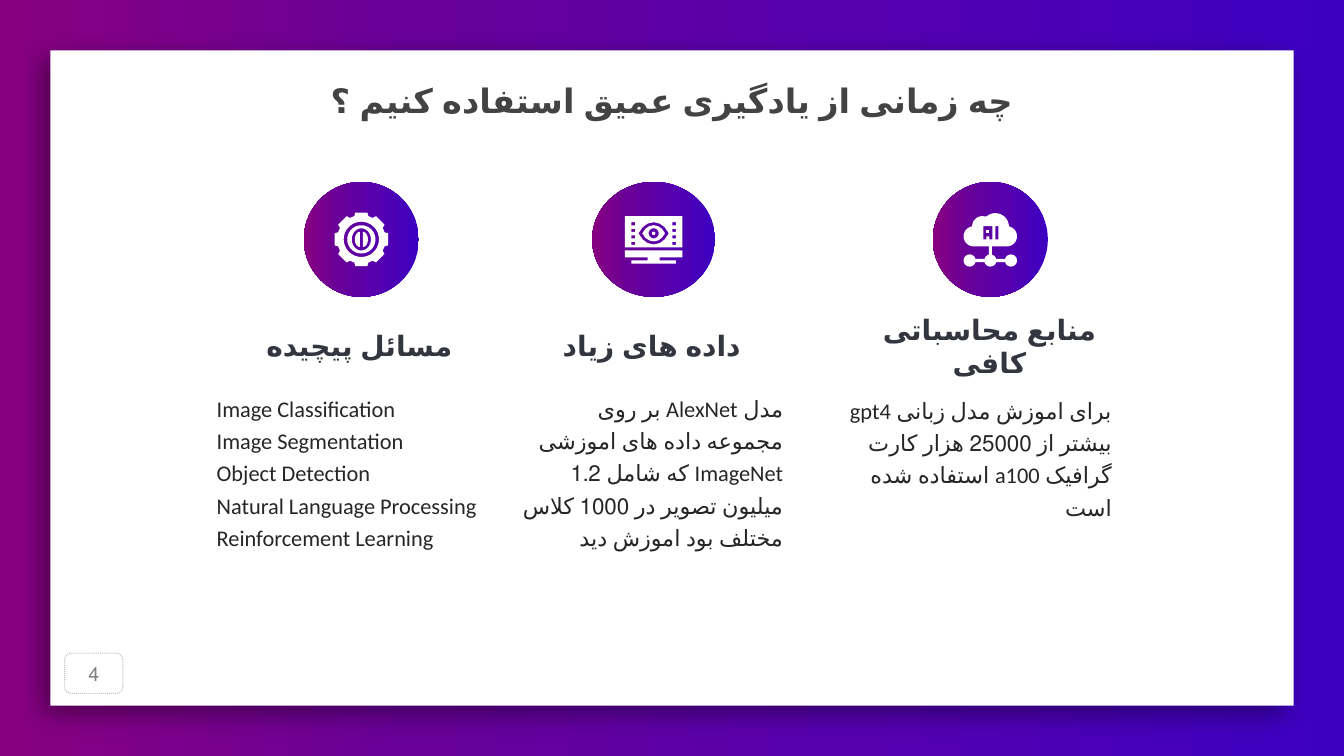
import math

import lxml.etree
import pptx
import pptx.dml.color
import pptx.enum.dml
import pptx.enum.shapes
import pptx.enum.text
import pptx.oxml.ns
import pptx.util

COLOURS = {
    "card": "FFFFFF", "icon": "FFFFFF", "title": "434343", "heading": "33363F",
    "body": "262626", "number": "808080", "number_line": "BFBFBF", "shadow": "000000",
}
GRADIENT = {0: "3D00C0", 37: "5600AE", 69: "680099", 100: "870080"}
COLUMNS, ROWS = 133.33, 75
CELL = pptx.util.Inches(0.1)
DISC_ROW, HEADING_ROW, BODY_ROW = 23.75, 32.3, 36.3
PADDING = 1.3
ALIGN = pptx.enum.text.PP_ALIGN
SHAPES = pptx.enum.shapes.MSO_SHAPE
qn = pptx.oxml.ns.qn


def cells(*counts):
    return [pptx.util.Emu(round(count * CELL)) for count in counts]


def colour(name):
    return pptx.dml.color.RGBColor.from_string(COLOURS[name])


def place(shape, area):
    shape.left, shape.top, shape.width, shape.height = cells(*area)


def paint_gradient(fill, element):
    fill.gradient()
    fill.gradient_angle = 180
    stops = next(element.iter(qn("a:gsLst")))
    for stop in list(stops):
        stops.remove(stop)
    for percent, value in GRADIENT.items():
        stop = lxml.etree.SubElement(stops, qn("a:gs"), pos=str(percent * 1000))
        lxml.etree.SubElement(stop, qn("a:srgbClr"), val=value)


def add_plain_shape(slide, kind, area):
    shape = slide.shapes.add_shape(kind, *cells(*area))
    shape.shadow.inherit = False
    shape.line.fill.background()
    return shape


def add_card(slide):
    card = add_plain_shape(slide, SHAPES.RECTANGLE, (5, 5, COLUMNS - 10, ROWS - 10))
    card.fill.solid()
    card.fill.fore_color.rgb = colour("card")
    effects = card.element.spPr.find(qn("a:effectLst"))
    shadow = lxml.etree.SubElement(
        effects, qn("a:outerShdw"), blurRad=str(pptx.util.Pt(18)),
        dist=str(pptx.util.Pt(8)), dir=str(135 * 60000), algn="tr", rotWithShape="0")
    shade = lxml.etree.SubElement(shadow, qn("a:srgbClr"), val=COLOURS["shadow"])
    lxml.etree.SubElement(shade, qn("a:alpha"), val="40000")
    # Behind the placeholders
    slide.shapes.element.insert(2, card.element)


def write(shape, lines, size, name, align, rtl=True, bold=False, spacing=1.0,
          font="Calibri", padding=PADDING):
    frame = shape.text_frame
    frame.word_wrap = True
    frame.auto_size = pptx.enum.text.MSO_AUTO_SIZE.NONE
    frame.vertical_anchor = pptx.enum.text.MSO_ANCHOR.MIDDLE
    (frame.margin_left, frame.margin_top,
     frame.margin_right, frame.margin_bottom) = cells(*[padding] * 4)
    frame.text = "\n".join(lines)
    for para in frame.paragraphs:
        properties = para._p.get_or_add_pPr()
        properties.set("marL", "0")
        properties.set("indent", "0")
        properties.set("rtl", str(int(rtl)))
        lxml.etree.SubElement(properties, qn("a:buNone"))
        para.alignment = align
        para.line_spacing = spacing
        para.space_before = pptx.util.Pt(0)
        para.font.name = font
        para.font.size = pptx.util.Pt(size)
        para.font.bold = bold
        para.font.color.rgb = colour(name)
        for span in para.runs:
            span._r.get_or_add_rPr().set("lang", "fa-IR" if rtl else "en-US")


def add_heading(slide, left, width, text):
    box = slide.shapes.add_textbox(*cells(left, HEADING_ROW, width, 4))
    write(box, [text], 20, "heading", ALIGN.CENTER, bold=True)


def write_body(shape, lines, rtl=True):
    write(shape, lines, 16, "body", ALIGN.RIGHT if rtl else ALIGN.LEFT, rtl, spacing=1.2)


def add_body(slide, area, text):
    write_body(slide.shapes.add_textbox(*cells(*area)), [text])


def add_page_number(slide, number):
    box = add_plain_shape(slide, SHAPES.ROUNDED_RECTANGLE, (6.4, 64.8, 5.8, 4))
    box.fill.background()
    box.line.color.rgb = colour("number_line")
    box.line.width = pptx.util.Pt(0.75)
    box.line.dash_style = pptx.enum.dml.MSO_LINE.ROUND_DOT
    write(box, [number], 14, "number", ALIGN.CENTER, font="Roboto", padding=0.5)


def arc(x, y, across, down, start=0, end=360):
    """Points of an elliptic arc, in degrees clockwise from the right."""
    steps = max(8, round(abs(end - start) / 10))
    angles = [math.radians(start + (end - start) * i / steps) for i in range(steps + 1)]
    return [(x + across * math.cos(a), y + down * math.sin(a)) for a in angles]


def block(left, top, right, bottom):
    return [(left, top), (right, top), (right, bottom), (left, bottom)]


def gear_icon():
    tooth = [(2.3, -0.7), (2.65, -0.6), (2.65, 0.6), (2.3, 0.7)]
    outline = []
    for turn in range(8):
        cosine, sine = math.cos(turn * math.pi / 4), math.sin(turn * math.pi / 4)
        outline += [(x * cosine - y * sine, x * sine + y * cosine) for x, y in tooth]
    return [[arc(0.15, 0, 0.5, 0.75, -90, 90)],
            [arc(-0.15, 0, 0.5, 0.75, 90, 270)],
            [arc(0, 0, 1.4, 1.4), arc(0, 0, 0.95, 1.1)],
            [outline, arc(0, 0, 1.75, 1.75)]]


def screen_icon():
    holes = [block(x, y, x + 0.35, y + 0.3)
             for x in (-2.2, 1.85) for y in (-1.7, -1.05, -0.4, 0.25)]
    eye = [(-1.5, -0.6), (-1.1, -1.2), (-0.6, -1.57), (0, -1.7),
           (0.6, -1.57), (1.1, -1.2), (1.5, -0.6), (1.1, 0), (0.6, 0.37),
           (0, 0.5), (-0.6, 0.37), (-1.1, 0)]
    iris = [(x * 0.75, (y + 0.6) * 0.73 - 0.6) for x, y in eye]
    stand = [(-2.85, 1.1), (-2.85, 1.8), (-0.6, 1.8), (-0.6, 2.1), (-2.2, 2.1),
             (-2.2, 2.4), (2.2, 2.4), (2.2, 2.1), (0.6, 2.1), (0.6, 1.8),
             (2.85, 1.8), (2.85, 1.1)]
    return [[iris, arc(0, -0.6, 0.5, 0.5)],
            [arc(0, -0.6, 0.17, 0.17)],
            [block(-2.85, -2.3, 2.85, 0.8), *holes, eye],
            [stand]]


def cloud_icon():
    cloud = (arc(1.65, -0.3, 1, 1, 90, -75) + arc(0.5, -1.25, 1.35, 1.35, -5, -130)
             + arc(-0.8, -1.3, 1, 1, -80, -180) + arc(-1.65, -0.3, 1, 1, -100, -270))
    letter_a = [(-0.4, -0.3), (-0.4, 0), (-0.7, 0), (-0.7, -1.3),
                (0.2, -1.3), (0.2, 0), (-0.1, 0), (-0.1, -0.3)]
    nodes = [arc(x, 2.1, 0.6, 0.6) for x in (-2.05, 0, 2.05)]
    links = [block(x, 1.95, x + 0.85, 2.25) for x in (-1.45, 0.6)]
    return [[block(-0.4, -0.9, -0.1, -0.6)],
            [cloud, letter_a, block(0.5, -1.3, 0.8, 0),
             block(-0.15, 0.7, 0.15, 1.5), *nodes, *links]]


def add_icon_piece(slide, middle, contours):
    """One white outline; contours inside the first are holes."""
    points = [[cells(middle + x, DISC_ROW + y) for x, y in contour] for contour in contours]
    builder = slide.shapes.build_freeform(*points[0][0])
    for index, contour in enumerate(points):
        if index:
            builder.move_to(*contour[0])
        builder.add_line_segments(contour[1:], close=True)
    piece = builder.convert_to_shape()
    piece.shadow.inherit = False
    piece.line.fill.background()
    piece.fill.solid()
    piece.fill.fore_color.rgb = colour("icon")


def add_disc(slide, middle, width, icon):
    disc = add_plain_shape(slide, SHAPES.OVAL,
                           (middle - width / 2, DISC_ROW - 5.7, width, 11.4))
    paint_gradient(disc.fill, disc.element)
    for contours in icon:
        add_icon_piece(slide, middle, contours)


def main():
    deck = pptx.Presentation()
    deck.slide_width, deck.slide_height = cells(COLUMNS, ROWS)
    slide = deck.slides.add_slide(deck.slide_layouts[1])
    paint_gradient(slide.background.fill, slide.element)
    add_card(slide)
    title, tasks = slide.placeholders
    place(title, (24.6, 6.8, 84.1, 6.3))
    write(title, ["چه زمانی از یادگیری عمیق استفاده کنیم ؟"], 24, "title",
          ALIGN.CENTER, bold=True)

    add_disc(slide, 98.25, 11.4, cloud_icon())
    add_heading(slide, 84.8, 26.7, "منابع محاسباتی کافی")
    add_body(slide, (82.2, BODY_ROW, 29.4, 17.9),
             "برای اموزش مدل زبانی gpt4 بیشتر از 25000 هزار کارت گرافیک a100 استفاده شده است")

    add_disc(slide, 64.85, 12.2, screen_icon())
    add_heading(slide, 50.3, 28.7, "داده های زیاد")
    add_body(slide, (50.3, BODY_ROW, 28.7, 20.7),
             "مدل AlexNet بر روی مجموعه داده های اموزشی ImageNet که شامل 1.2 "
             "میلیون تصویر در 1000 کلاس مختلف بود اموزش دید")

    add_disc(slide, 35.85, 11.4, gear_icon())
    add_heading(slide, 22.3, 26.7, "مسائل پیچیده")
    place(tasks, (20.2, BODY_ROW, 32.6, 20.7))
    write_body(tasks, ["Image Classification", "Image Segmentation", "Object Detection",
                       "Natural Language Processing", "Reinforcement Learning"], rtl=False)

    add_page_number(slide, "4")
    deck.save("out.pptx")


if __name__ == "__main__":
    main()
